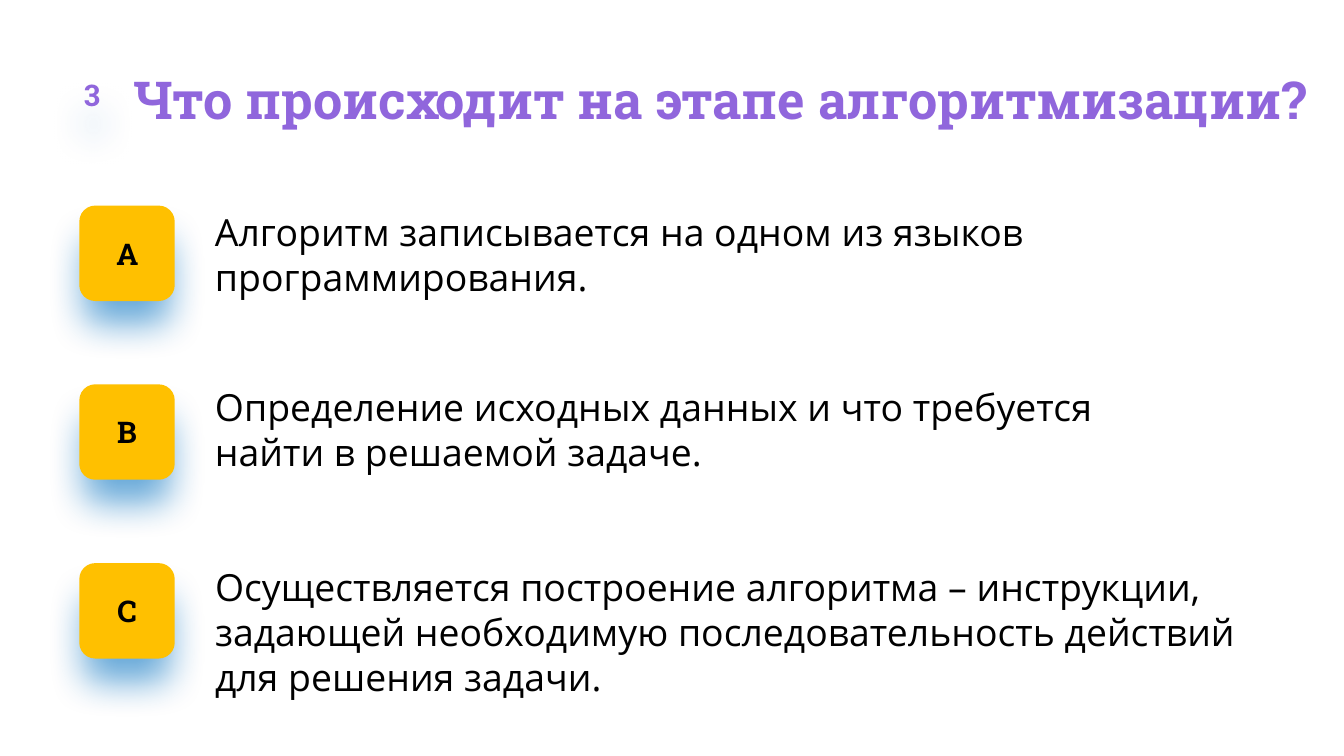
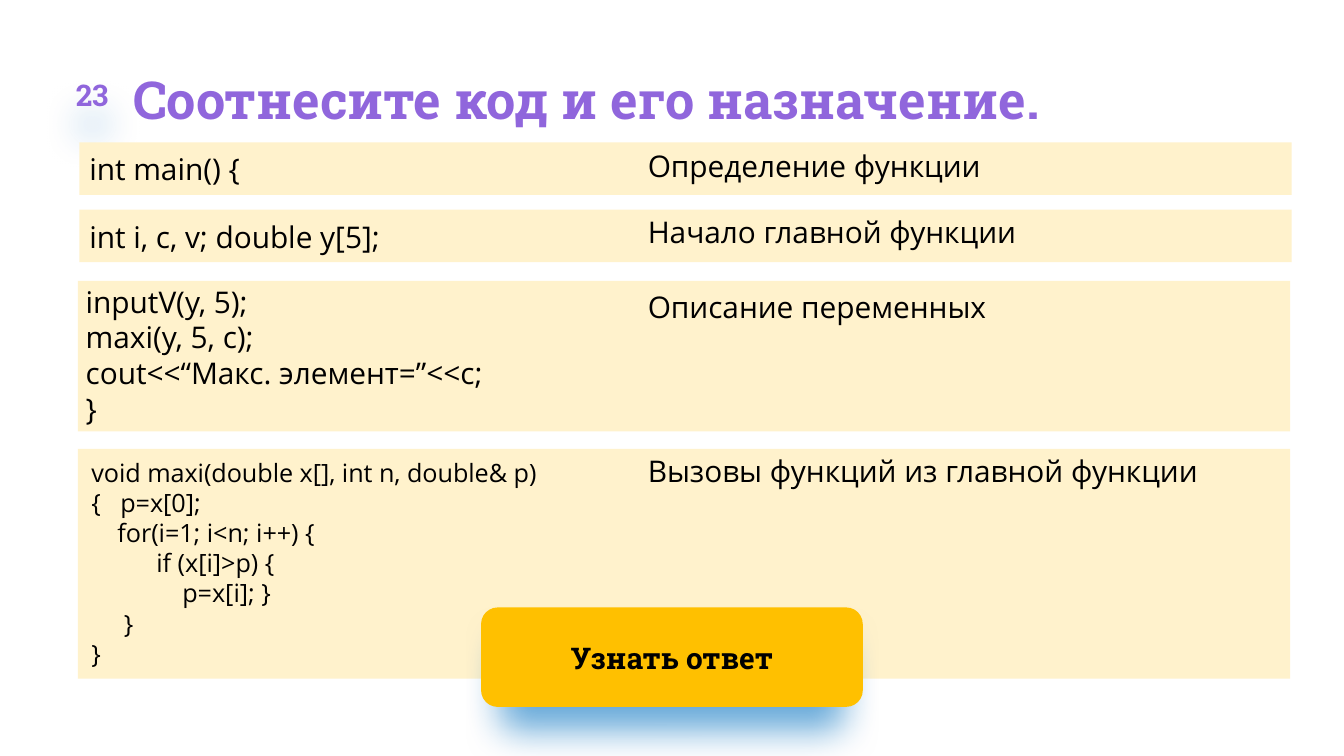
from dataclasses import dataclass

from lxml.etree import SubElement
from pptx import Presentation
from pptx.dml.color import RGBColor
from pptx.enum.shapes import MSO_SHAPE as SHAPE
from pptx.enum.text import MSO_ANCHOR as ANCHOR, MSO_AUTO_SIZE as AUTO, PP_ALIGN as ALIGN
from pptx.oxml.ns import qn
from pptx.util import Emu, Pt

COLORS = {"title": "9066DC", "text": "000000", "button": "FFC000", "band": "FFF2CC", "shadow": "0070C0"}
HEADING, BODY = "Roboto Slab", "Open Sans"
PX = 9144
WIDTH = 1000
INDENT = 14


@dataclass(frozen=True)
class Box:
    """Place and size in px."""
    x: int
    y: int
    w: int
    h: int

    def emu(self) -> list[Emu]:
        """Return left, top, width and height in EMU."""
        return [Emu(v * PX) for v in (self.x, self.y, self.w, self.h)]


@dataclass(frozen=True)
class Style:
    """Look of a text."""
    size: float
    font: str = BODY
    color: str = "text"
    bold: bool = False
    align: ALIGN = ALIGN.LEFT
    anchor: ANCHOR = ANCHOR.TOP
    spacing: float | None = None


@dataclass(frozen=True)
class Answer:
    """Lettered answer option."""
    letter: str
    text: str
    box: Box


@dataclass(frozen=True)
class Match:
    """Band with a piece of code and a purpose beside it."""
    band: Box
    code_box: Box
    code: str
    purpose: str
    purpose_y: int
    size: float = 16


TITLE = Style(28, HEADING, "title", True, spacing=1.06)
LABEL = Style(16, HEADING, "text", True, ALIGN.CENTER, ANCHOR.MIDDLE)
NUMBER = Style(16, HEADING, "title", True, ALIGN.CENTER, ANCHOR.MIDDLE)

ANSWERS = [
    Answer("А", "Алгоритм записывается на одном из языков программирования.", Box(146, 156, 724, 67)),
    Answer("B", "Определение исходных данных и что требуется найти в решаемой задаче.",
           Box(146, 286, 724, 67)),
    Answer("C", "Осуществляется построение алгоритма – инструкции, задающей необходимую "
           "последовательность действий для решения задачи.", Box(146, 420, 815, 101)),
]

MAXI = """void maxi(double x[], int n, double& p)
{   p=x[0];
    for(i=1; i<n; i++) {
          if (x[i]>p) {
              p=x[i]; }
     }
}"""
CALLS = """inputV(y, 5);
maxi(y, 5, c);
cout<<“Макс. элемент=”<<c;
}"""

MATCHES = [
    Match(Box(59, 106, 902, 39), Box(65, 111, 339, 30), "int main() {", "Определение функции", 110),
    Match(Box(59, 156, 902, 39), Box(65, 161, 339, 30), "int i, c, v; double y[5];",
          "Начало главной функции", 159),
    Match(Box(58, 209, 902, 112), Box(58, 205, 339, 119), CALLS, "Описание переменных", 215),
    Match(Box(58, 334, 902, 171), Box(58, 330, 464, 206), MAXI,
          "Вызовы функций из главной функции", 337, 13.5),
]


def rgb(name: str) -> RGBColor:
    """Look up a colour by name."""
    return RGBColor.from_string(COLORS[name])


def write(sp, text: str, style: Style, insets=(0, 0, 0, 0), grow: bool = True) -> None:
    """Fill a shape with text, one paragraph a line."""
    tf = sp.text_frame
    tf.word_wrap = True
    tf.auto_size = AUTO.SHAPE_TO_FIT_TEXT if grow else AUTO.NONE
    tf.vertical_anchor = style.anchor
    tf.margin_left, tf.margin_top, tf.margin_right, tf.margin_bottom = (Emu(v * PX) for v in insets)
    for i, line in enumerate(text.split("\n")):
        p = tf.add_paragraph() if i else tf.paragraphs[0]
        p.alignment = style.align
        if style.spacing:
            p.line_spacing = style.spacing
        p.add_run().text = line
        p.font.name, p.font.size, p.font.bold = style.font, Pt(style.size), style.bold
        p.font.color.rgb = rgb(style.color)


def add_text(s, box: Box, text: str, style: Style, indent: int = 0) -> None:
    """Add a text box."""
    write(s.shapes.add_textbox(*box.emu()), text, style, (indent, 0, 0, 0))


def add_shape(s, box: Box, fill: str | None = None, kind: SHAPE = SHAPE.ROUNDED_RECTANGLE):
    """Add a shape without outline and shadow."""
    sp = s.shapes.add_shape(kind, *box.emu())
    if fill:
        sp.fill.solid()
        sp.fill.fore_color.rgb = rgb(fill)
    else:
        sp.fill.background()
    sp.line.fill.background()
    sp.shadow.inherit = False
    return sp


def add_shadow(sp) -> None:
    """Drop a soft blue shadow, slightly narrower than the shape, below it."""
    effects = sp._element.spPr.find(qn("a:effectLst"))
    shadow = SubElement(effects, qn("a:outerShdw"), blurRad=str(Pt(20)), dist=str(Pt(15)),
                        dir="5400000", sx="90000", sy="90000", algn="ctr", rotWithShape="0")
    color = SubElement(shadow, qn("a:srgbClr"), val=COLORS["shadow"])
    SubElement(color, qn("a:alpha"), val="60000")


def add_button(s, box: Box, text: str, style: Style = LABEL, fill: str | None = "button",
               insets=(0, 0, 0, 0), grow: bool = False) -> None:
    """Add a rounded label with a shadow."""
    sp = add_shape(s, box, fill)
    add_shadow(sp)
    write(sp, text, style, insets, grow)


def add_question(prs, number: int, title: str, width: int):
    """Add a slide with a numbered title."""
    s = prs.slides.add_slide(prs.slide_layouts[6])
    add_text(s, Box(99, 47, width, 47), title, TITLE)
    add_button(s, Box(39, 41, 59, 59), str(number), NUMBER, None)
    return s


def add_choice_slide(prs) -> None:
    """Add the question with three answers."""
    s = add_question(prs, 3, "Что происходит на этапе алгоритмизации?", 887)
    for i, answer in enumerate(ANSWERS):
        add_button(s, Box(59, 153 + i * 133, 71, 71), answer.letter)
        add_text(s, answer.box, answer.text, Style(20), INDENT)


def add_match_slide(prs) -> None:
    """Add the question that pairs code with purposes."""
    s = add_question(prs, 23, "Соотнесите код и его назначение.", 861)
    for match in MATCHES:
        add_shape(s, match.band, "band", SHAPE.RECTANGLE)
    add_button(s, Box(358, 452, 284, 74), "Узнать ответ", insets=(39, 20, 39, 20), grow=True)
    for match in MATCHES:
        write(add_shape(s, match.code_box), match.code, Style(match.size))
        add_text(s, Box(468, match.purpose_y, 460, 27), match.purpose, Style(16), INDENT)


def main() -> None:
    """Build and save the deck."""
    prs = Presentation()
    prs.slide_width, prs.slide_height = Emu(WIDTH * PX), Emu(WIDTH * PX * 9 // 16)
    add_choice_slide(prs)
    add_match_slide(prs)
    prs.save("out.pptx")


if __name__ == "__main__":
    main()
